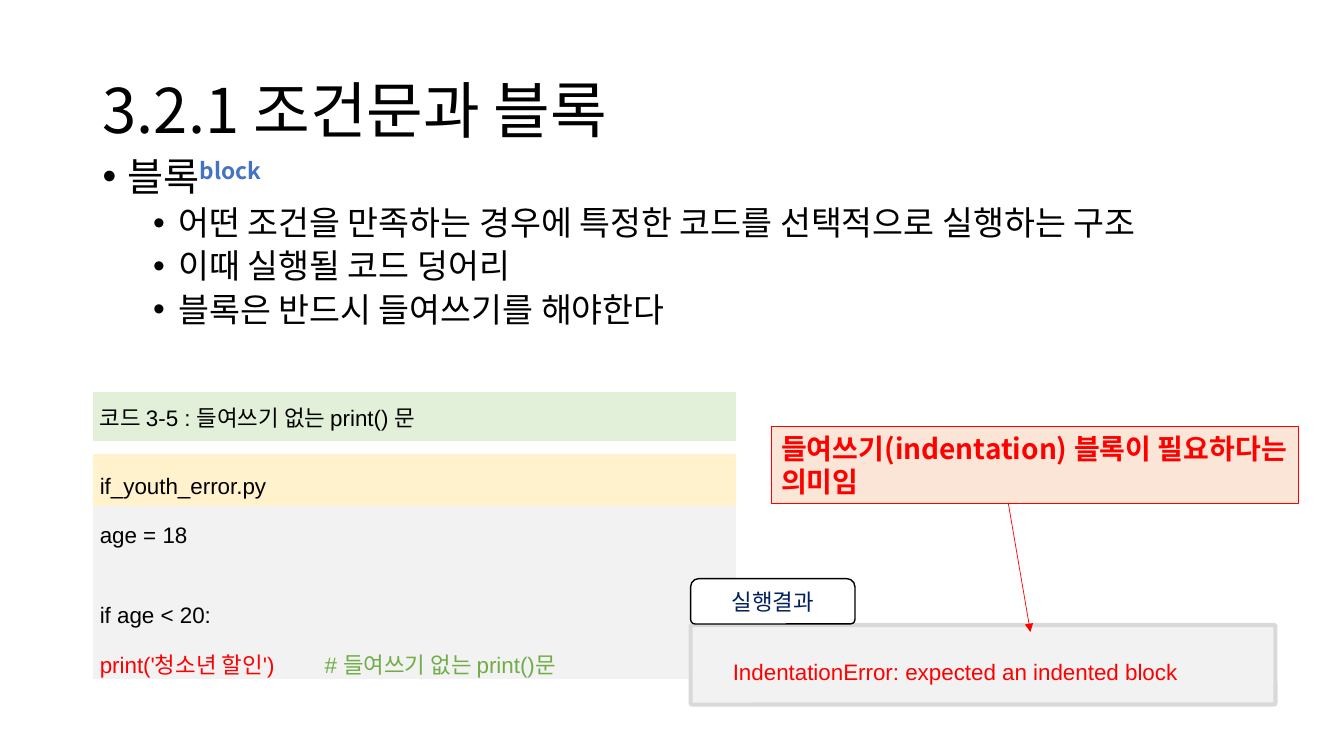
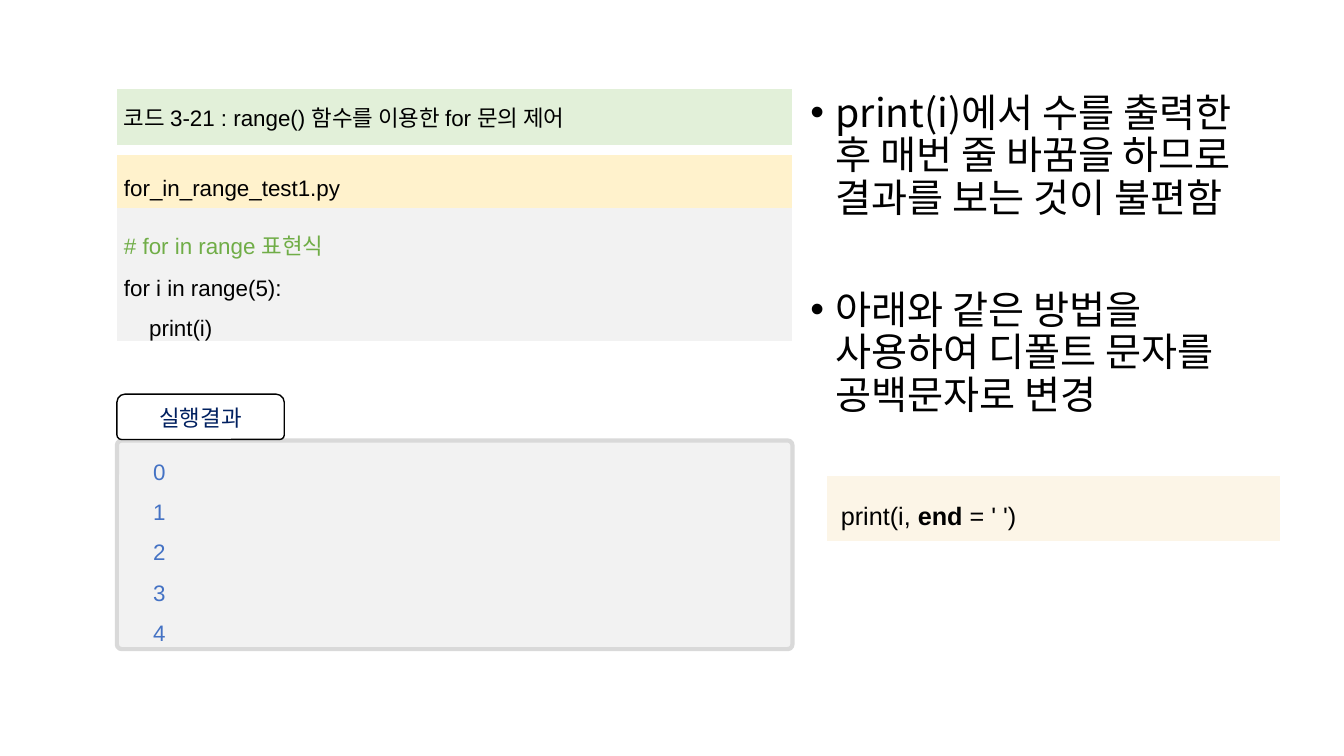
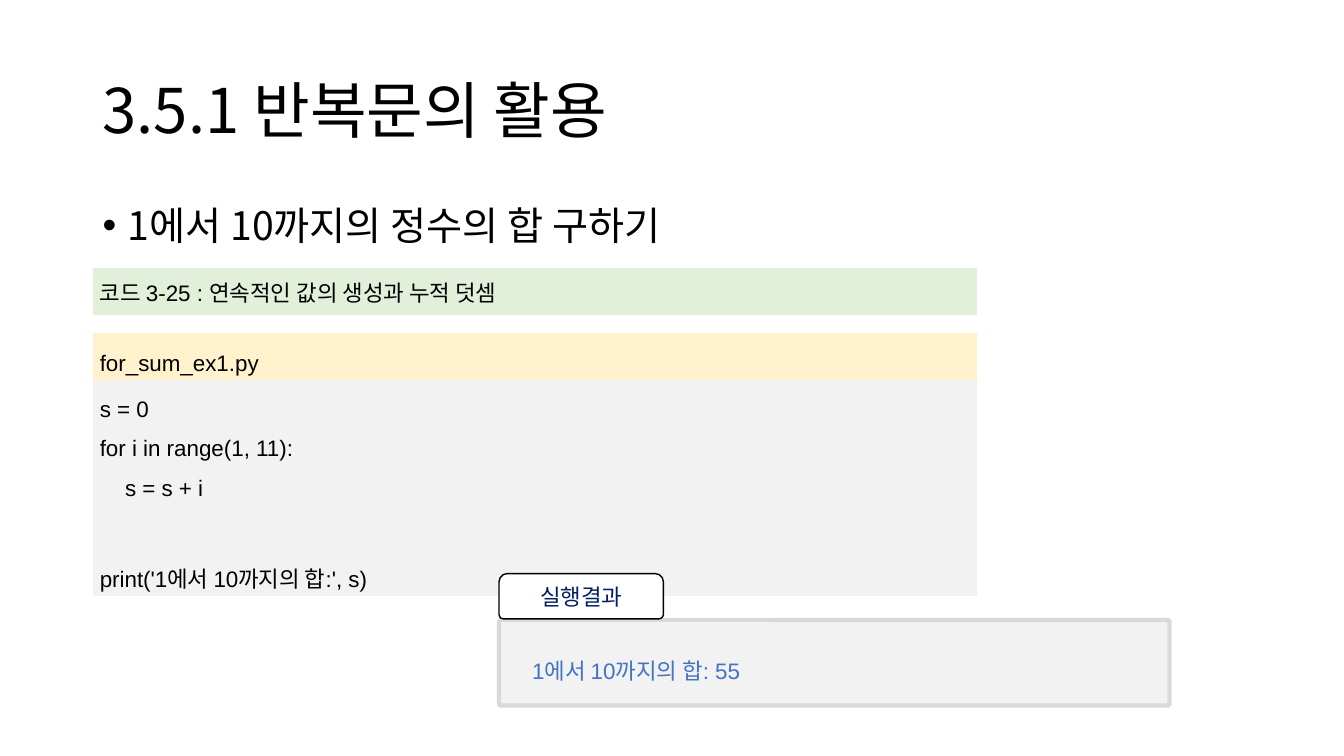
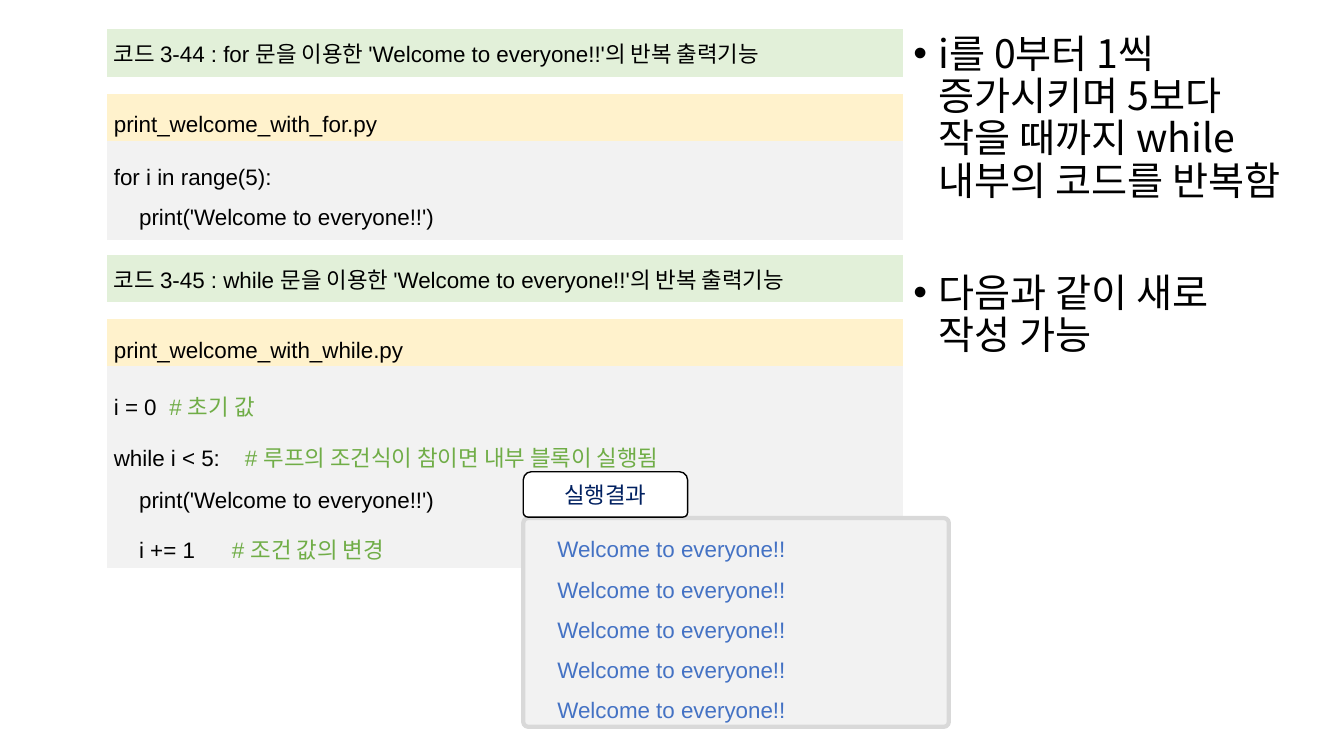
from dataclasses import dataclass, replace
from typing import Optional

from lxml import etree
from pptx import Presentation
from pptx.dml.color import RGBColor
from pptx.enum.shapes import MSO_CONNECTOR as Connector, MSO_SHAPE as Preset
from pptx.enum.text import MSO_ANCHOR as Anchor, MSO_AUTO_SIZE as AutoSize, PP_ALIGN as Align
from pptx.oxml.ns import qn
from pptx.util import Inches, Pt

# Shared look
BLACK = RGBColor(0x00, 0x00, 0x00)
WHITE = RGBColor(0xFF, 0xFF, 0xFF)
RED = RGBColor(0xFF, 0x00, 0x00)
BLUE = RGBColor(0x44, 0x72, 0xC4)
NAVY = RGBColor(0x00, 0x20, 0x60)
COMMENT_GREEN = RGBColor(0x70, 0xAD, 0x47)
CAPTION_FILL = RGBColor(0xE2, 0xF0, 0xD9)
FILE_FILL = RGBColor(0xFF, 0xF2, 0xCC)
PANEL_FILL = RGBColor(0xF2, 0xF2, 0xF2)
PANEL_EDGE = RGBColor(0xD9, 0xD9, 0xD9)
CALLOUT_FILL = RGBColor(0xFB, 0xE5, 0xD6)
SNIPPET_FILL = RGBColor(0xFC, 0xF5, 0xE7)

KOREAN_FONT = "Noto Sans CJK KR"
CODE_FONT = "Arial"
NO_TABLE_STYLE = "{2D5ABB26-0587-4C30-8999-92F81FD0307C}"
CODE_INDENT = 0.25
CODE_GAP = 29  # points left for an empty line of code
BULLET_GAP = 50  # points left between separate remarks


@dataclass(frozen=True)
class Style:
    font: str
    size: float
    color: RGBColor = BLACK
    bold: bool = False
    spacing: Optional[float] = None
    align: Optional[Align] = None


@dataclass(frozen=True)
class Run:
    text: str
    color: Optional[RGBColor] = None
    bold: Optional[bool] = None
    raised: bool = False


@dataclass(frozen=True)
class Line:
    runs: tuple[Run, ...]
    before: float = 0
    tabs: tuple[float, ...] = ()
    size: Optional[float] = None
    bullet_indent: Optional[float] = None


@dataclass(frozen=True)
class Box:
    left: float
    top: float
    width: float
    height: float

    def lengths(self) -> tuple:
        return tuple(Inches(v) for v in (self.left, self.top, self.width, self.height))


@dataclass(frozen=True)
class Listing:
    left: float
    top: float
    width: float
    rows: tuple[float, float, float, float]
    caption: str
    file_name: str
    code: tuple[Line, ...]


@dataclass(frozen=True)
class Result:
    panel: Box
    tab_width: float
    text: Box
    lines: tuple[str, ...]
    color: RGBColor = BLUE


TITLE = Style(KOREAN_FONT, 44, spacing=0.9)
BODY = Style(KOREAN_FONT, 28, spacing=0.9)
CALLOUT = Style(KOREAN_FONT, 20, RED, bold=True)
TAB_LABEL = Style(KOREAN_FONT, 16, NAVY, align=Align.CENTER)
CAPTION = Style(CODE_FONT, 16)
CODE = Style(CODE_FONT, 16, spacing=1.6, align=Align.JUSTIFY)
SNIPPET = replace(CODE, size=18)
OUTPUT = Style(CODE_FONT, 16, spacing=1.5)
TITLE_BOX = Box(0.92, 0.4, 11.5, 1.45)


# Text
def line(text: str, color: Optional[RGBColor] = None, before: float = 0) -> Line:
    return Line((Run(text, color),), before)


def indented(text: str) -> Line:
    return Line((Run("\t" + text),), tabs=(CODE_INDENT,))


def commented(code: str, comment: str, *tabs: float, color: Optional[RGBColor] = None) -> Line:
    return Line((Run(code + "\t", color), Run(comment, COMMENT_GREEN)), tabs=tabs)


def bullet(*runs: Run, before: float = 10) -> Line:
    return Line(runs, before, bullet_indent=0.25)


def sub_bullet(text: str) -> Line:
    return Line((Run(text),), 5, size=24, bullet_indent=0.75)


def add_run(paragraph, run: Run, style: Style, size: float) -> None:
    piece = paragraph.add_run()
    piece.text = run.text
    font = piece.font
    font.name = style.font
    font.size = Pt(size)
    font.bold = style.bold if run.bold is None else run.bold
    font.color.rgb = run.color or style.color
    properties = font._element
    etree.SubElement(properties, qn("a:ea"), typeface=KOREAN_FONT)
    if run.raised:
        properties.set("baseline", "30000")


def format_paragraph(paragraph, content: Line, style: Style) -> None:
    paragraph.alignment = style.align
    paragraph.line_spacing = style.spacing
    paragraph.space_before = Pt(content.before)
    properties = paragraph._p.get_or_add_pPr()
    if content.bullet_indent is not None:
        properties.set("marL", str(Inches(content.bullet_indent)))
        properties.set("indent", str(-Inches(0.25)))
        etree.SubElement(properties, qn("a:buFont"), typeface="Arial")
        etree.SubElement(properties, qn("a:buChar"), char="•")
    if content.tabs:
        stops = etree.SubElement(properties, qn("a:tabLst"))
        for position in content.tabs:
            etree.SubElement(stops, qn("a:tab"), pos=str(Inches(position)), algn="l")


def fill_text(frame, lines: tuple[Line, ...], style: Style) -> None:
    frame.word_wrap = True
    for index, content in enumerate(lines):
        paragraph = frame.add_paragraph() if index else frame.paragraphs[0]
        format_paragraph(paragraph, content, style)
        for run in content.runs:
            add_run(paragraph, run, style, content.size or style.size)


def add_text(shapes, box: Box, lines: tuple[Line, ...], style: Style,
             anchor: Anchor = Anchor.TOP) -> None:
    frame = shapes.add_textbox(*box.lengths()).text_frame
    frame.vertical_anchor = anchor
    fill_text(frame, lines, style)


def add_title(slide, text: str) -> None:
    add_text(slide.shapes, TITLE_BOX, (line(text),), TITLE, Anchor.MIDDLE)


# Shapes and tables
def add_panel(shapes, preset: Preset, box: Box, fill: RGBColor, edge: RGBColor, weight: float):
    shape = shapes.add_shape(preset, *box.lengths())
    shape.shadow.inherit = False
    shape.fill.solid()
    shape.fill.fore_color.rgb = fill
    shape.line.color.rgb = edge
    shape.line.width = Pt(weight)
    return shape


def add_plain_table(slide, left: float, top: float, width: float, rows: tuple[float, ...]):
    box = Box(left, top, width, sum(rows))
    table = slide.shapes.add_table(len(rows), 1, *box.lengths()).table
    table.first_row = False
    table.horz_banding = False
    table._tbl.tblPr.find(qn("a:tableStyleId")).text = NO_TABLE_STYLE
    for row, height in zip(table.rows, rows):
        row.height = Inches(height)
        cell = row.cells[0]
        cell.margin_left = cell.margin_right = Inches(0.07)
        cell.margin_top = cell.margin_bottom = Inches(0.02)
        cell.vertical_anchor = Anchor.MIDDLE
    return table


def fill_cell(cell, fill: RGBColor, lines: tuple[Line, ...], style: Style) -> None:
    cell.fill.solid()
    cell.fill.fore_color.rgb = fill
    fill_text(cell.text_frame, lines, style)


def add_listing(slide, listing: Listing) -> None:
    table = add_plain_table(slide, listing.left, listing.top, listing.width, listing.rows)
    caption, gap, file_name, code = (row.cells[0] for row in table.rows)
    fill_cell(caption, CAPTION_FILL, (line(listing.caption),), CAPTION)
    gap.fill.background()
    # A tiny type size keeps the separating row thin
    etree.SubElement(gap.text_frame.paragraphs[0]._p, qn("a:endParaRPr"), sz="200")
    fill_cell(file_name, FILE_FILL, (line(listing.file_name),), CODE)
    fill_cell(code, PANEL_FILL, listing.code, CODE)


def add_result(slide, result: Result) -> None:
    shapes = slide.shapes.add_group_shape().shapes
    panel = add_panel(shapes, Preset.ROUNDED_RECTANGLE, result.panel, PANEL_FILL, PANEL_EDGE, 3)
    panel.adjustments[0] = 0.023
    tab_box = Box(result.panel.left, result.panel.top - 0.46, result.tab_width, 0.45)
    tab = add_panel(shapes, Preset.ROUND_2_SAME_RECTANGLE, tab_box, WHITE, BLACK, 1)
    tab.adjustments[0] = 0.18
    tab.adjustments[1] = 0.1
    tab.text_frame.vertical_anchor = Anchor.MIDDLE
    fill_text(tab.text_frame, (line("실행결과"),), TAB_LABEL)
    add_text(shapes, result.text, tuple(line(text, result.color) for text in result.lines), OUTPUT)


def add_arrow(slide, start: tuple[float, float], end: tuple[float, float]) -> None:
    points = (Inches(value) for value in (*start, *end))
    arrow = slide.shapes.add_connector(Connector.STRAIGHT, *points)
    arrow.line.color.rgb = RED
    arrow.line.width = Pt(0.5)
    etree.SubElement(arrow.line._get_or_add_ln(), qn("a:tailEnd"), type="triangle")
    etree.SubElement(arrow._element.spPr, qn("a:effectLst"))


# Slides
def build_block_slide(slide) -> None:
    add_title(slide, "3.2.1 조건문과 블록")
    add_text(slide.shapes, Box(0.92, 1.51, 11.5, 4.76), (
        bullet(Run("블록"), Run("block", BLUE, bold=True, raised=True)),
        sub_bullet("어떤 조건을 만족하는 경우에 특정한 코드를 선택적으로 실행하는 구조"),
        sub_bullet("이때 실행될 코드 덩어리"),
        sub_bullet("블록은 반드시 들여쓰기를 해야한다"),
    ), BODY)
    add_listing(slide, Listing(
        0.92, 3.89, 6.38, (0.49, 0.12, 0.52, 1.43),
        "코드 3-5 : 들여쓰기 없는 print() 문", "if_youth_error.py", (
            line("age = 18"),
            line("if age < 20:", before=CODE_GAP),
            commented("print('청소년 할인')", "# 들여쓰기 없는 print()문", 2.23, color=RED),
        )))
    add_result(slide, Result(
        Box(6.85, 6.2, 5.8, 0.79), 1.63, Box(7.17, 6.35, 5.16, 0.5),
        ("IndentationError: expected an indented block",), RED))
    callout = add_panel(slide.shapes, Preset.RECTANGLE, Box(7.65, 4.23, 5.23, 0.77),
                        CALLOUT_FILL, RED, 0.75)
    callout.text_frame.vertical_anchor = Anchor.TOP
    callout.text_frame.auto_size = AutoSize.SHAPE_TO_FIT_TEXT
    fill_text(callout.text_frame, (line("들여쓰기(indentation) 블록이 필요하다는 의미임"),),
              replace(CALLOUT, align=Align.LEFT))
    add_arrow(slide, (10, 4.99), (10.22, 6.27))


def build_range_slide(slide) -> None:
    add_text(slide.shapes, Box(7.94, 0.88, 4.5, 4.76), (
        bullet(Run("print(i)에서 수를 출력한 후 매번 줄 바꿈을 하므로 결과를 보는 것이 불편함")),
        bullet(Run("아래와 같은 방법을 사용하여 디폴트 문자를 공백문자로 변경"), before=BULLET_GAP),
    ), BODY)
    add_listing(slide, Listing(
        1.16, 0.88, 6.7, (0.56, 0.1, 0.52, 1.2),
        "코드 3-21 : range() 함수를 이용한 for 문의 제어", "for_in_range_test1.py", (
            line("# for in range 표현식", COMMENT_GREEN),
            line("for i in range(5):"),
            indented("print(i)"),
        )))
    add_result(slide, Result(
        Box(1.16, 4.37, 6.7, 2.07), 1.66, Box(1.42, 4.36, 6.17, 2.08),
        tuple(str(number) for number in range(5))))
    snippet = add_plain_table(slide, 8.2, 4.72, 4.5, (0.65,))
    code = Line((Run(" print(i, "), Run("end", bold=True), Run(" = ' ')")))
    fill_cell(snippet.cell(0, 0), SNIPPET_FILL, (code,), SNIPPET)


def build_sum_slide(slide) -> None:
    add_title(slide, "3.5.1 반복문의 활용")
    add_text(slide.shapes, Box(0.92, 2, 11.5, 4.76),
             (bullet(Run("1에서 10까지의 정수의 합 구하기")),), BODY)
    add_listing(slide, Listing(
        0.92, 2.66, 8.77, (0.47, 0.17, 0.46, 1.94),
        "코드 3-25 : 연속적인 값의 생성과 누적 덧셈", "for_sum_ex1.py", (
            line("s = 0"),
            line("for i in range(1, 11):"),
            indented("s = s + i"),
            line("print('1에서 10까지의 합:', s)", before=CODE_GAP),
        )))
    add_result(slide, Result(
        Box(4.95, 6.15, 6.65, 0.85), 1.63, Box(5.18, 6.34, 6.06, 0.46),
        ("1에서 10까지의 합: 55",)))


def build_while_slide(slide) -> None:
    greeting = "Welcome to everyone!!"
    print_greeting = indented(f"print('{greeting}')")
    add_text(slide.shapes, Box(8.96, 0.29, 3.84, 6.69), (
        bullet(Run("i를 0부터 1씩 증가시키며 5보다 작을 때까지 while 내부의 코드를 반복함")),
        bullet(Run("다음과 같이 새로 작성 가능"), before=BULLET_GAP),
    ), BODY)
    add_listing(slide, Listing(
        1.06, 0.29, 7.9, (0.47, 0.17, 0.46, 0.99),
        f"코드 3-44 : for 문을 이용한 '{greeting}'의 반복 출력기능",
        "print_welcome_with_for.py", (line("for i in range(5):"), print_greeting)))
    add_listing(slide, Listing(
        1.06, 2.53, 7.9, (0.47, 0.17, 0.46, 2),
        f"코드 3-45 : while 문을 이용한 '{greeting}'의 반복 출력기능",
        "print_welcome_with_while.py", (
            commented("i = 0", "# 초기 값", 0.55),
            commented("while i < 5:", "# 루프의 조건식이 참이면 내부 블록이 실행됨", 1.3),
            print_greeting,
            commented("\ti += 1", "# 조건 값의 변경", CODE_INDENT, 1.17),
        )))
    add_result(slide, Result(
        Box(5.19, 5.14, 4.22, 2.07), 1.63, Box(5.43, 5.13, 3.58, 2.12), (greeting,) * 5))


def main() -> None:
    presentation = Presentation()
    presentation.slide_width = Inches(13.33)
    presentation.slide_height = Inches(7.5)
    blank = presentation.slide_layouts[6]
    for build in (build_block_slide, build_range_slide, build_sum_slide, build_while_slide):
        build(presentation.slides.add_slide(blank))
    presentation.save("out.pptx")


if __name__ == "__main__":
    main()
